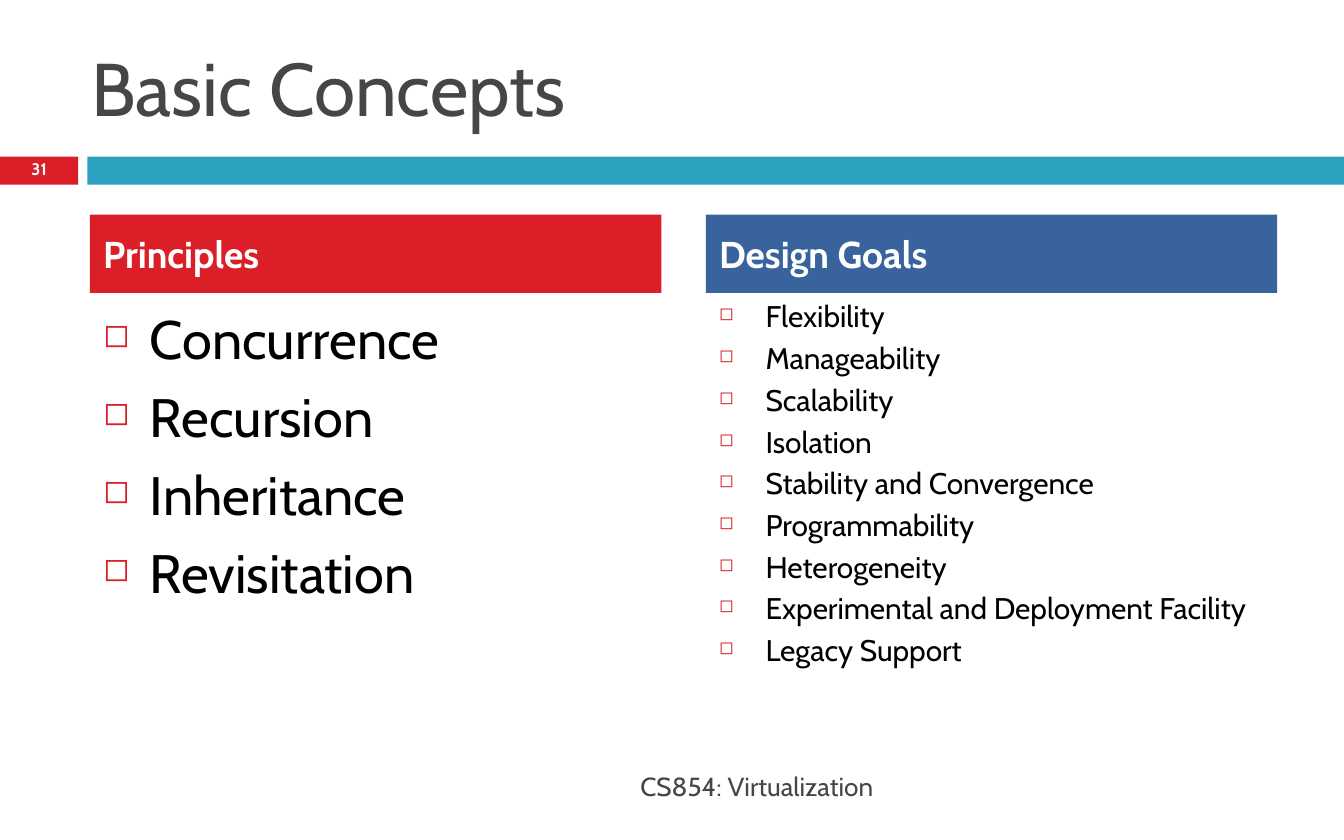
from lxml import etree
from pptx import Presentation
from pptx import util as u
from pptx.dml import color
from pptx.enum import shapes, text
from pptx.oxml import ns

COLOURS = {"red": "DA1F28", "teal": "2DA2BF", "blue": "39639D",
           "grey": "464646", "black": "000000", "white": "FFFFFF"}
FONT = "Cabin"
COLUMN_WIDTH, COLUMN_GAP = 10.8, 0.84
MARGIN = 1.7


def rgb(name):
    """Return the named colour."""
    return color.RGBColor.from_string(COLOURS[name])


def apply(target, formats):
    """Set each attribute named in formats on the target."""
    for name, value in formats.items():
        setattr(target, name, value)


def write(shape, lines, size, colour, bold=False, anchor="MIDDLE", **layout):
    """Fill a shape with one formatted paragraph per line."""
    frame = shape.text_frame
    apply(frame, {"word_wrap": True,
                  "vertical_anchor": getattr(text.MSO_ANCHOR, anchor)})
    layout = {"alignment": text.PP_ALIGN.LEFT, **layout}
    for index, line in enumerate(lines):
        para = frame.add_paragraph() if index else frame.paragraphs[0]
        apply(para, layout)
        span = para.add_run()
        span.text = line
        apply(span.font, {"name": FONT, "size": u.Pt(size), "bold": bold})
        span.font.color.rgb = rgb(colour)
    return frame.paragraphs


def add_text(page, box, lines, size, colour, **formats):
    """Place a text box and return its paragraphs."""
    shape = page.shapes.add_textbox(*map(u.Cm, box))
    return write(shape, lines, size, colour, **formats)


def add_block(page, box, fill):
    """Place a plain filled rectangle."""
    block = page.shapes.add_shape(shapes.MSO_SHAPE.RECTANGLE, *map(u.Cm, box))
    block.shadow.inherit = False
    block.fill.solid()
    block.fill.fore_color.rgb = rgb(fill)
    block.line.fill.background()
    return block


def add_bullet(para):
    """Give a paragraph a hanging hollow red square."""
    properties = para._p.get_or_add_pPr()
    indent = u.Cm(0.88)
    properties.set("marL", str(indent))
    properties.set("indent", str(-indent))
    tint = etree.SubElement(properties, ns.qn("a:buClr"))
    etree.SubElement(tint, ns.qn("a:srgbClr"), val=COLOURS["red"])
    etree.SubElement(properties, ns.qn("a:buSzPct"), val="60000")
    etree.SubElement(properties, ns.qn("a:buChar"), char="◻")


def add_band(page, box, number):
    """Draw the page number tab and the rule beside it."""
    left, top, width, height = box
    tab, gap = 1.48, 0.17
    label = add_block(page, (left, top, tab, height), "red")
    write(label, [number], 9, "white", bold=True, line_spacing=0.8,
          alignment=text.PP_ALIGN.CENTER)
    start = tab + gap
    add_block(page, (left + start, top, width - start, height), "teal")


def add_column(page, box, heading, fill, items, size, spacing):
    """Draw a coloured heading with a bulleted list below it."""
    left, top, width, height = box
    head, gap = 1.48, 0.1
    header = add_block(page, (left, top, width, head), fill)
    write(header, [heading], 20, "white", bold=True, space_before=u.Pt(7))
    offset = head + gap
    paras = add_text(page, (left, top + offset, width, height - offset), items,
                     size, "black", anchor="TOP", space_before=u.Pt(7),
                     line_spacing=spacing)
    for para in paras:
        add_bullet(para)


def main():
    """Build the deck and save it."""
    deck = Presentation()
    apply(deck, {"slide_width": u.Cm(25.4), "slide_height": u.Cm(15.88)})
    page = deck.slides.add_slide(deck.slide_layouts[6])
    add_text(page, (1.48, 0.64, 22.66, 2), ["Basic Concepts"], 40, "grey")
    add_band(page, (0, 2.96, 25.4, 0.53), "31")
    columns = [
        ("Principles", "red",
         ["Concurrence", "Recursion", "Inheritance", "Revisitation"], 29, 1.0),
        ("Design Goals", "blue",
         ["Flexibility", "Manageability", "Scalability", "Isolation",
          "Stability and Convergence", "Programmability", "Heterogeneity",
          "Experimental and Deployment Facility", "Legacy Support"], 16, 0.8),
    ]
    for index, column in enumerate(columns):
        left = MARGIN + index * (COLUMN_WIDTH + COLUMN_GAP)
        add_column(page, (left, 4.06, COLUMN_WIDTH, 9.86), *column)
    add_text(page, (MARGIN, 14.45, 15.06, 0.84), ["CS854: Virtualization"],
             14, "grey", alignment=text.PP_ALIGN.RIGHT)
    deck.save("out.pptx")


if __name__ == "__main__":
    main()
